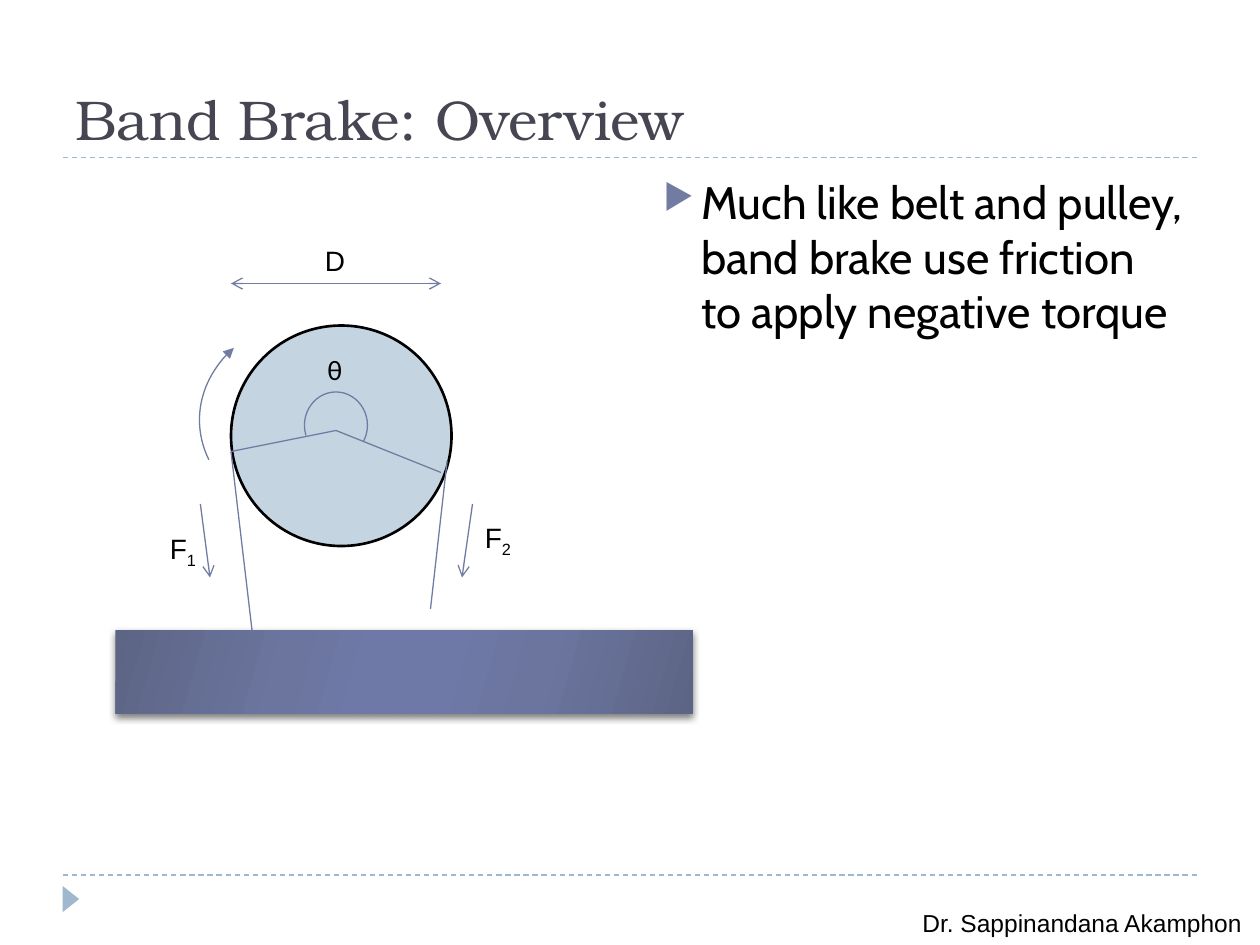
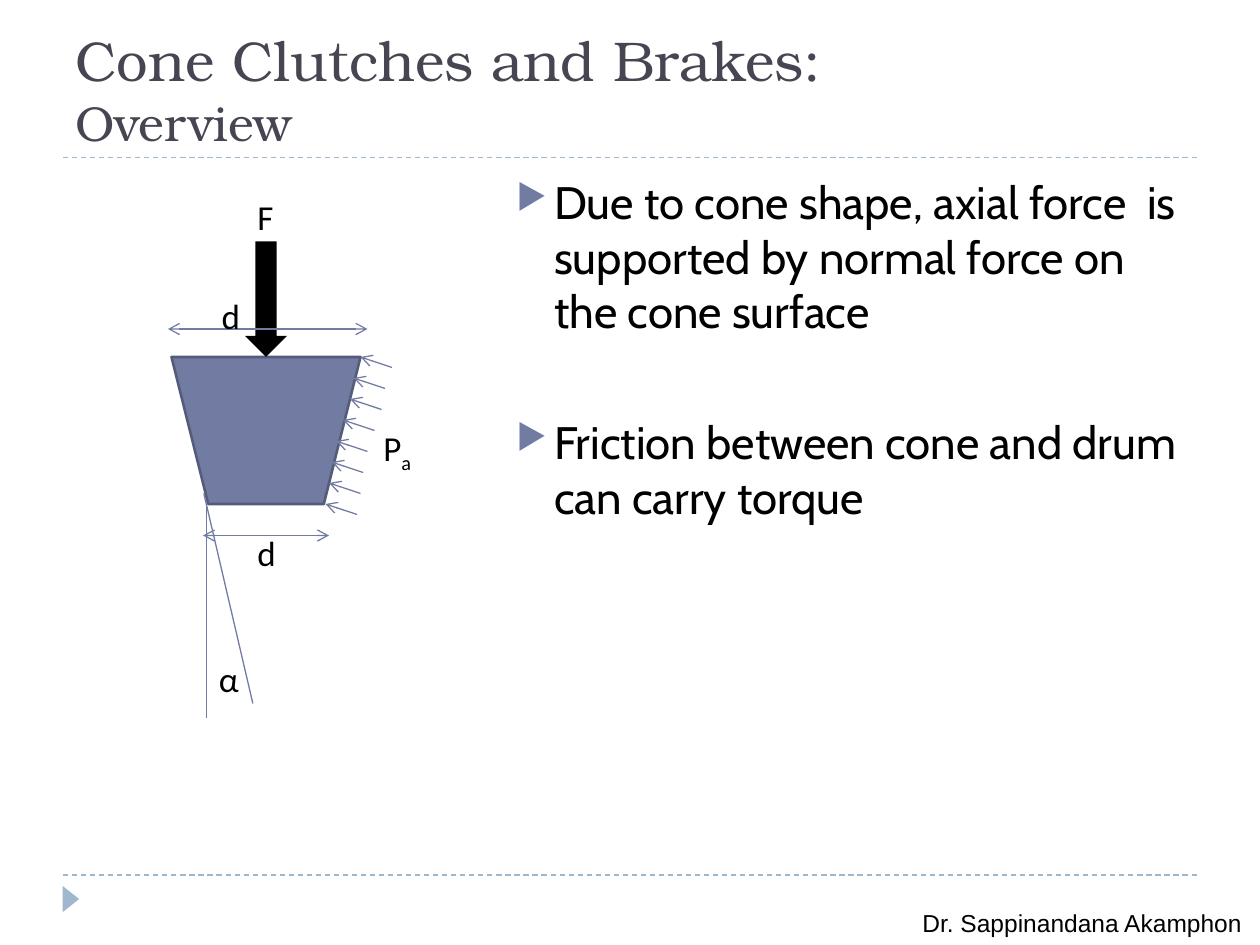
from dataclasses import dataclass

from lxml import etree
from pptx import Presentation
from pptx.dml.color import RGBColor
from pptx.enum.dml import MSO_LINE
from pptx.enum.shapes import MSO_CONNECTOR, MSO_SHAPE
from pptx.enum.text import MSO_ANCHOR, MSO_AUTO_SIZE
from pptx.oxml import parse_xml
from pptx.oxml.ns import nsdecls, qn
from pptx.util import Pt

STRAIGHT = MSO_CONNECTOR.STRAIGHT
DASH = MSO_LINE.DASH
ARC = MSO_SHAPE.ARC
CIRCLE = MSO_SHAPE.OVAL
DOWN_ARROW = MSO_SHAPE.DOWN_ARROW
RECTANGLE = MSO_SHAPE.RECTANGLE
TRAPEZOID = MSO_SHAPE.TRAPEZOID
TRIANGLE = MSO_SHAPE.ISOSCELES_TRIANGLE
TOP = MSO_ANCHOR.TOP
BOTTOM = MSO_ANCHOR.BOTTOM
GROW = MSO_AUTO_SIZE.SHAPE_TO_FIT_TEXT
FIXED = MSO_AUTO_SIZE.NONE


@dataclass(frozen=True)
class Theme:
    title_font: str = "TeX Gyre Bonum"
    body_font: str = "Cabin"
    label_font: str = "Arial"
    symbol_font: str = "Calibri"
    title_size: float = 32
    subtitle_size: float = 28
    body_size: float = 26
    footer_size: float = 14
    label_size: float = 16
    large_label_size: float = 20
    title_color: str = "464653"
    ink: str = "000000"
    accent: str = "727CA3"
    accent_dark: str = "545C79"
    rule: str = "9FB8CD"
    pulley: str = "C5D4E1"
    thin: float = 0.75
    outline: float = 1.5
    bullet_indent: float = 21.6
    bullet_gap: float = 6
    section_gap: float = 43.5
    metal: tuple = ((0, "5D6585"), (30, "6B759E"), (45, "6E79A7"),
                    (55, "6E79A7"), (73, "6B759E"), (100, "5D6585"))


class Deck:
    def __init__(self, theme):
        self.theme = theme
        self.presentation = Presentation()
        self.presentation.slide_width = Pt(720)
        self.presentation.slide_height = Pt(540)
        self.shapes = None

    def start_slide(self, *title_lines):
        theme = self.theme
        blank = self.presentation.slide_layouts[6]
        self.shapes = self.presentation.slides.add_slide(blank).shapes
        for y in (500, 90):
            self.line((36, y), (684, y), color=theme.rule, dash=DASH)
        self.shape(TRIANGLE, (33, 509, 15, 9.5), fill=theme.rule, rotation=90)
        self.label("Dr. Sappinandana Akamphon", (520, 515.5, 200, 24.5),
                   theme.label_font, theme.footer_size)
        self.title(title_lines)

    def start_group(self):
        self.shapes = self.shapes.add_group_shape().shapes

    def frame(self, box, anchor=TOP, fit=FIXED):
        frame = self.shapes.add_textbox(*map(Pt, box)).text_frame
        frame.word_wrap = True
        frame.auto_size = fit
        frame.vertical_anchor = anchor
        return frame

    def run(self, paragraph, text, font, size, color):
        run = paragraph.add_run()
        run.text = text
        run.font.name = font
        run.font.size = Pt(size)
        run.font.color.rgb = RGBColor.from_string(color)
        return run

    def title(self, lines):
        theme = self.theme
        paragraph = self.frame((36, 12, 648, 78), BOTTOM).paragraphs[0]
        for number, line in enumerate(lines):
            if number:
                paragraph.add_line_break()
            size = theme.subtitle_size if number else theme.title_size
            self.run(paragraph, line, theme.title_font, size, theme.title_color)

    def bullets(self, box, items):
        theme = self.theme
        frame = self.frame(box)
        for number, item in enumerate(items):
            paragraph = frame.add_paragraph() if number else frame.paragraphs[0]
            paragraph.space_before = Pt(theme.section_gap if number else theme.bullet_gap)
            properties = paragraph._p.get_or_add_pPr()
            properties.set("marL", str(Pt(theme.bullet_indent)))
            properties.set("indent", str(-Pt(theme.bullet_indent)))
            color = etree.SubElement(properties, qn("a:buClr"))
            etree.SubElement(color, qn("a:srgbClr"), val=theme.accent)
            etree.SubElement(properties, qn("a:buSzPct"), val="76000")
            etree.SubElement(properties, qn("a:buChar"), char="▶")
            self.run(paragraph, item, theme.body_font, theme.body_size, theme.ink)

    def label(self, text, box, font, size, subscript=""):
        paragraph = self.frame(box, fit=GROW).paragraphs[0]
        self.run(paragraph, text, font, size, self.theme.ink)
        if subscript:
            lowered = self.run(paragraph, subscript, font, size, self.theme.ink)
            lowered._r.get_or_add_rPr().set("baseline", "-25000")

    def line(self, start, end, color=None, dash=None, head=None, tail=None):
        connector = self.shapes.add_connector(STRAIGHT, *map(Pt, (*start, *end)))
        self.stroke(connector.line, color or self.theme.accent, self.theme.thin)
        if dash:
            connector.line.dash_style = dash
        self.arrowheads(connector.line, head, tail)
        etree.SubElement(connector._element.spPr, qn("a:effectLst"))

    def stroke(self, line, color, width):
        line.color.rgb = RGBColor.from_string(color)
        line.width = Pt(width)

    def arrowheads(self, line, head=None, tail=None):
        outline = line._get_or_add_ln()
        for tag, style in (("a:headEnd", head), ("a:tailEnd", tail)):
            if style:
                etree.SubElement(outline, qn(tag), type=style)

    def dimension(self, start, end):
        self.line(start, end, head="arrow", tail="arrow")

    def force(self, start, end):
        self.line(start, end, tail="arrow")

    def shape(self, preset, box, fill=None, outline=None, width=None, rotation=0):
        shape = self.shapes.add_shape(preset, *map(Pt, box))
        shape.shadow.inherit = False
        shape.rotation = rotation
        if fill:
            shape.fill.solid()
            shape.fill.fore_color.rgb = RGBColor.from_string(fill)
        else:
            shape.fill.background()
        if outline:
            self.stroke(shape.line, outline, width)
        else:
            shape.line.fill.background()
        return shape

    def arc(self, box, start_degrees, end_degrees, tail=None):
        arc = self.shape(ARC, box, outline=self.theme.accent, width=self.theme.thin)
        for index, degrees in enumerate((start_degrees, end_degrees)):
            arc.adjustments[index] = degrees * 0.6
        self.arrowheads(arc.line, tail=tail)

    def metal_block(self, box):
        properties = self.shape(RECTANGLE, box)._element.spPr
        stops = "".join(
            f'<a:gs pos="{position * 1000}"><a:srgbClr val="{color}"/></a:gs>'
            for position, color in self.theme.metal)
        gradient = parse_xml(
            f'<a:gradFill {nsdecls("a")} rotWithShape="1"><a:gsLst>{stops}</a:gsLst>'
            '<a:lin ang="960000" scaled="0"/></a:gradFill>')
        properties.replace(properties.find(qn("a:noFill")), gradient)
        shadow = etree.SubElement(
            properties.find(qn("a:effectLst")), qn("a:outerShdw"),
            blurRad=str(Pt(4)), dist=str(Pt(2)), dir="5400000", rotWithShape="0")
        color = etree.SubElement(shadow, qn("a:srgbClr"), val=self.theme.ink)
        etree.SubElement(color, qn("a:alpha"), val="50000")


def band_brake(deck):
    theme = deck.theme
    deck.start_slide("Band Brake: Overview")
    deck.bullets((372, 96, 312, 389), [
        "Much like belt and pulley, band brake use friction to apply negative torque"])

    left_contact, center, right_contact = (132, 258), (192, 246), (252, 270)
    deck.shape(CIRCLE, (132, 186, 126, 126), theme.pulley, theme.ink, theme.outline)
    deck.line((144, 360), left_contact)
    deck.line((246, 348), (255.5, 263.5))
    deck.dimension((252, 162), (132, 162))
    deck.label("D", (178.5, 135.5, 24, 26.5), theme.label_font, theme.label_size)
    deck.metal_block((66, 360, 330, 48))
    deck.force((114.5, 288), (120, 330))
    deck.force((270, 288), (264, 330))
    for subscript, x, y in (("1", 90, 300), ("2", 270, 294)):
        deck.label("F", (x, y, 36, 26.5), theme.label_font, theme.label_size, subscript)
    deck.line(left_contact, center)
    deck.line(center, right_contact)
    deck.arc((174, 224, 36, 38), 161.07, 29.4)
    deck.label("θ", (180, 198, 24, 26.5), theme.symbol_font, theme.label_size)
    deck.arc((114, 180, 144, 120), 161.16, 218.18, tail="triangle")


def cone_clutch(deck):
    theme = deck.theme
    deck.start_slide("Cone Clutches and Brakes:", "Overview")
    deck.bullets((288, 96, 396, 389), [
        "Due to cone shape, axial force  is supported by normal force on the cone surface",
        "Friction between cone and drum can carry torque"])

    deck.start_group()
    deck.shape(TRAPEZOID, (98, 204, 108, 84), theme.accent, theme.accent_dark,
               theme.outline, rotation=180)
    deck.line((116.5, 282), (144.5, 402))
    deck.line((118, 288), (118, 410.5))
    deck.shape(DOWN_ARROW, (140, 138, 24, 66), theme.ink)
    pressure_tips = (206, 202, 200, 196, 192, 189.5, 188, 186)
    for row, x in enumerate(pressure_tips):
        y = 204 + 12 * row
        deck.force((x + 18, y + 6), (x, y))
    deck.dimension((116, 306), (188, 306))
    deck.dimension((96, 188), (210, 188))
    for text, subscript, x, y, width in (
            ("α", "", 118, 372, 18), ("F", "", 140, 108, 24), ("P", "a", 212, 240, 36),
            ("d", "", 140, 300, 18), ("d", "", 119.5, 165, 18)):
        deck.label(text, (x, y, width, 31.5), theme.symbol_font,
                   theme.large_label_size, subscript)


def main():
    deck = Deck(Theme())
    band_brake(deck)
    cone_clutch(deck)
    deck.presentation.save("out.pptx")


if __name__ == "__main__":
    main()
